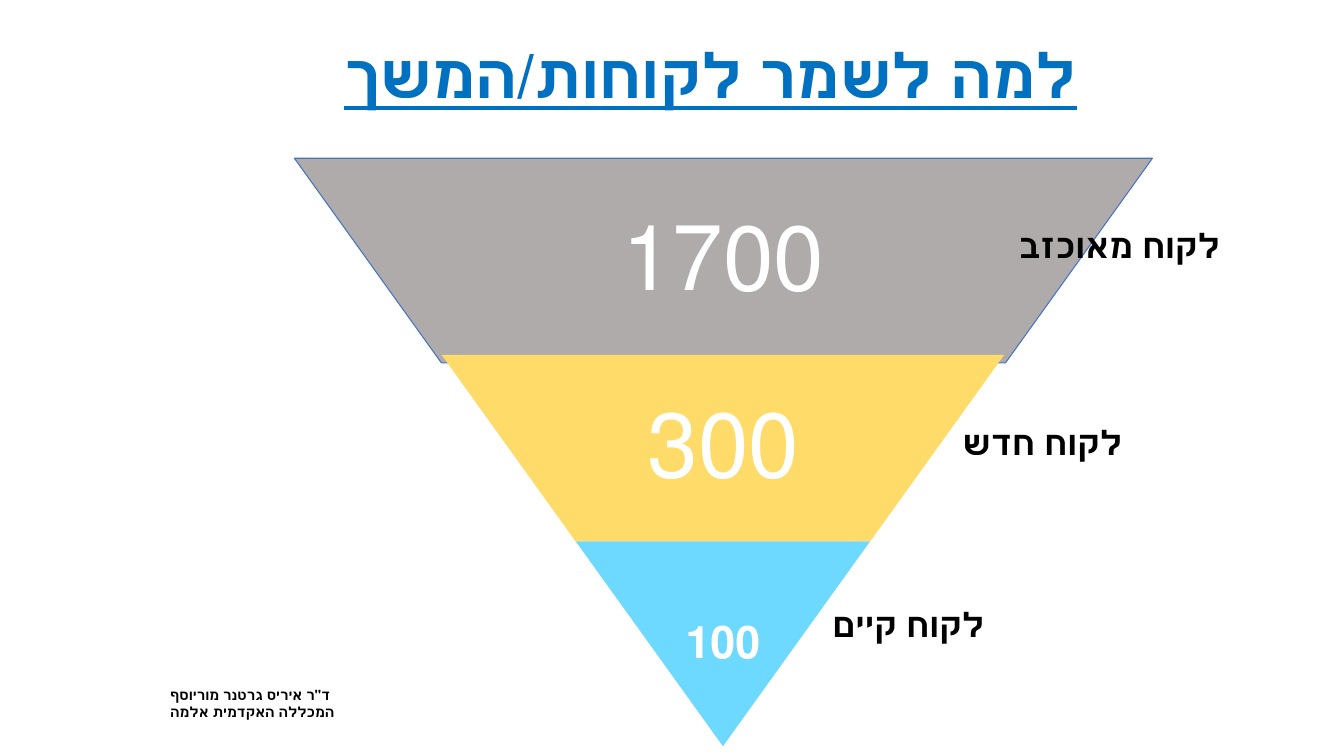
from dataclasses import dataclass

from pptx import Presentation
from pptx.dml.color import RGBColor
from pptx.enum.shapes import MSO_SHAPE
from pptx.enum.text import MSO_ANCHOR, PP_ALIGN
from pptx.slide import Slide
from pptx.text.text import TextFrame
from pptx.util import Emu, Pt

EMU_PER_PX = 9144  # 100 px to the inch
FUNNEL_CENTER = 717
SLOPE = 0.718
LABEL_WIDTH, LABEL_HEIGHT = 228, 50


@dataclass(frozen=True)
class Theme:
    title_color: str = "0070C0"
    number_color: str = "FFFFFF"
    text_color: str = "000000"
    outline: str = "4472C4"
    disappointed: str = "AFABAB"
    new: str = "FFDB69"
    existing: str = "6DD9FF"
    font: str = "Calibri"
    credit_font: str = "Quicksand"
    title_size: int = 44
    big_number_size: int = 65
    small_number_size: int = 32
    label_size: int = 24
    credit_size: int = 10


THEME = Theme()


@dataclass(frozen=True)
class TextStyle:
    size: int
    color: str
    align: PP_ALIGN
    bold: bool = True
    underline: bool = False
    font: str = THEME.font
    line_spacing: float = 1.0


@dataclass(frozen=True)
class Tier:
    number: str
    label: str
    fill: str
    top: int
    width: int
    height: int
    number_width: int
    label_left: int
    label_top: int
    number_size: int = THEME.big_number_size
    bold: bool = False
    outlined: bool = False


TIERS = [
    Tier("1700", "לקוח מאוכזב", THEME.disappointed, 157, 851, 203, 553, 992, 218,
         outlined=True),
    Tier("300", "לקוח חדש", THEME.new, 352, 558, 185, 363, 895, 414),
    Tier("100", "לקוח קיים", THEME.existing, 537, 292, 203, 292, 758, 594,
         number_size=THEME.small_number_size, bold=True),
]


def px(length: int) -> Emu:
    return Emu(length * EMU_PER_PX)


def write(frame: TextFrame, text: str, style: TextStyle, anchor: MSO_ANCHOR) -> None:
    """Fill the frame with right-to-left paragraphs in one style."""
    frame.word_wrap = True
    frame.vertical_anchor = anchor
    frame.text = text
    for paragraph in frame.paragraphs:
        paragraph.alignment = style.align
        paragraph.line_spacing = style.line_spacing
        paragraph._p.get_or_add_pPr().set("rtl", "1")
        for run in paragraph.runs:
            run.font.name = style.font
            run.font.size = Pt(style.size)
            run.font.bold = style.bold
            run.font.underline = style.underline
            run.font.color.rgb = RGBColor.from_string(style.color)


def add_text(slide: Slide, left: int, top: int, width: int, height: int,
             text: str, style: TextStyle, anchor: MSO_ANCHOR) -> None:
    box = slide.shapes.add_textbox(px(left), px(top), px(width), px(height))
    write(box.text_frame, text, style, anchor)


def add_title(slide: Slide) -> None:
    title = slide.shapes.title
    title.left, title.top, title.width, title.height = map(px, (128, 19, 1154, 96))
    style = TextStyle(THEME.title_size, THEME.title_color, PP_ALIGN.CENTER, underline=True)
    write(title.text_frame, "למה לשמר לקוחות/המשך", style, MSO_ANCHOR.BOTTOM)


def add_tier(slide: Slide, tier: Tier) -> None:
    band = slide.shapes.add_shape(
        MSO_SHAPE.TRAPEZOID, px(FUNNEL_CENTER - tier.width // 2), px(tier.top),
        px(tier.width), px(tier.height))
    band.rotation = 180
    band.adjustments[0] = SLOPE
    band.shadow.inherit = False
    band.fill.solid()
    band.fill.fore_color.rgb = RGBColor.from_string(tier.fill)
    if tier.outlined:
        band.line.color.rgb = RGBColor.from_string(THEME.outline)
        band.line.width = Pt(0.75)
    else:
        band.line.fill.background()

    number_style = TextStyle(tier.number_size, THEME.number_color, PP_ALIGN.CENTER,
                             bold=tier.bold, line_spacing=0.9)
    add_text(slide, FUNNEL_CENTER - tier.number_width // 2, tier.top,
             tier.number_width, tier.height, tier.number, number_style, MSO_ANCHOR.MIDDLE)


def add_label(slide: Slide, tier: Tier) -> None:
    style = TextStyle(THEME.label_size, THEME.text_color, PP_ALIGN.RIGHT)
    add_text(slide, tier.label_left, tier.label_top, LABEL_WIDTH, LABEL_HEIGHT,
             tier.label, style, MSO_ANCHOR.TOP)


def add_credit(slide: Slide) -> None:
    style = TextStyle(THEME.credit_size, THEME.text_color, PP_ALIGN.LEFT,
                      font=THEME.credit_font)
    add_text(slide, 159, 678, 833, 40,
             "ד\"ר איריס גרטנר מוריוסף\nהמכללה האקדמית אלמה", style, MSO_ANCHOR.MIDDLE)


def main() -> None:
    deck = Presentation()
    deck.slide_width, deck.slide_height = px(1333), px(750)
    slide = deck.slides.add_slide(deck.slide_layouts.get_by_name("Title Only"))
    add_title(slide)
    for tier in TIERS:
        add_tier(slide, tier)
    add_credit(slide)
    for tier in TIERS:
        add_label(slide, tier)
    deck.save("out.pptx")


if __name__ == "__main__":
    main()
